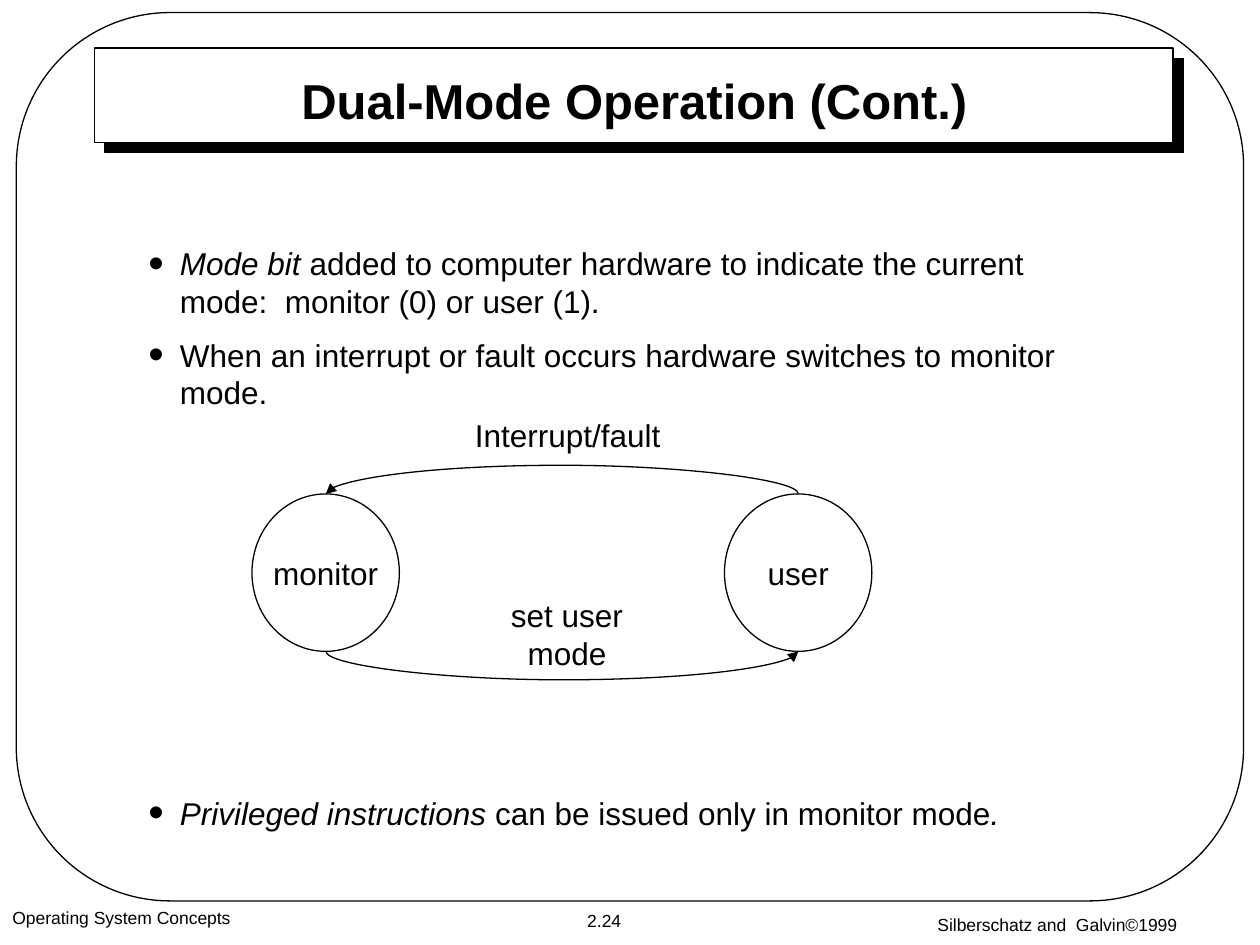
from dataclasses import dataclass
from typing import NamedTuple

from lxml.etree import SubElement
from pptx import Presentation
from pptx.dml.color import RGBColor
from pptx.enum.shapes import MSO_CONNECTOR as Connector, MSO_SHAPE as Preset
from pptx.enum.text import MSO_ANCHOR as Anchor, PP_ALIGN as Align
from pptx.oxml.ns import qn
from pptx.util import Emu, Inches, Pt


@dataclass(frozen=True)
class Theme:
    """Colours, fonts and sizes of the slide."""
    ink: RGBColor = RGBColor(0, 0, 0)
    paper: RGBColor = RGBColor(255, 255, 255)
    font: str = "Arial"
    spacer_font: str = "Times New Roman"
    title: int = 28
    body: int = 18
    spacer: int = 14
    footer: int = 10
    line: float = 0.75


class Box(NamedTuple):
    """Left, top, width and height in inches."""
    left: float
    top: float
    width: float
    height: float


class Run(NamedTuple):
    """A stretch of text with one format."""
    text: str
    italic: bool = False
    size: int | None = None
    font: str | None = None


class State(NamedTuple):
    """A named mode of the processor."""
    name: str
    left: float


class Transition(NamedTuple):
    """A curved arrow between modes, bulging up or down, with its label."""
    label: str
    label_box: Box
    upward: bool


THEME = Theme()
STATE_TOP, STATE_WIDTH, STATE_HEIGHT = 3.92, 1.17, 1.25
BULGE = 0.25
CURVE_DEPTH = Emu(1588)
STATES = (State("monitor", 2), State("user", 5.75))
TRANSITIONS = (
    Transition("Interrupt/fault", Box(3.67, 3.25, 1.67, 0.4), True),
    Transition("set user mode", Box(3.61, 4.83, 1.78, 0.4), False),
)
MODE_POINTS = (
    (Run("Mode bit", True),
     Run(" added to computer hardware to indicate the current mode:  monitor (0) or user (1).")),
    (Run("When an interrupt or fault occurs hardware switches to monitor mode."),),
)
PRIVILEGE_POINTS = (
    (Run("Privileged instructions ", True),
     Run("can be issued only in monitor mode"), Run(".", True)),
)


def inches(box: Box) -> tuple:
    """Convert a box to lengths."""
    return tuple(Inches(value) for value in box)


def add_bullet(paragraph) -> None:
    """Give a paragraph a hanging round bullet."""
    properties = paragraph._p.get_or_add_pPr()
    properties.set("marL", str(Inches(0.25)))
    properties.set("indent", str(Inches(-0.25)))
    SubElement(properties, qn("a:buSzPct")).set("val", "140000")
    SubElement(properties, qn("a:buFont")).set("typeface", THEME.font)
    SubElement(properties, qn("a:buChar")).set("char", "•")


def write(shape, paragraphs, *, size=THEME.body, bold=False, align=Align.LEFT,
          anchor=Anchor.TOP, wrap=True, bullets=False) -> None:
    """Fill a shape with paragraphs of runs."""
    frame = shape.text_frame
    frame.word_wrap = wrap
    frame.vertical_anchor = anchor
    for index, runs in enumerate(paragraphs):
        paragraph = frame.add_paragraph() if index else frame.paragraphs[0]
        paragraph.alignment = align
        if index:
            paragraph.space_before = Pt(size / 2)
        if bullets:
            add_bullet(paragraph)
        for item in runs:
            run = paragraph.add_run()
            run.text = item.text
            font = run.font
            font.name = item.font or THEME.font
            font.size = Pt(item.size or size)
            font.bold, font.italic = bold, item.italic
            font.color.rgb = THEME.ink


def add_text(slide, box: Box, paragraphs, **text_format) -> None:
    """Add a text box."""
    write(slide.shapes.add_textbox(*inches(box)), paragraphs, **text_format)


def add_outline(slide, preset, box: Box, filled: bool = True):
    """Add a thin-lined shape, white or hollow."""
    shape = slide.shapes.add_shape(preset, *inches(box))
    shape.shadow.inherit = False
    if filled:
        shape.fill.solid()
        shape.fill.fore_color.rgb = THEME.paper
    else:
        shape.fill.background()
    shape.line.color.rgb = THEME.ink
    shape.line.width = Pt(THEME.line)
    return shape


def add_hard_shadow(shape) -> None:
    """Cast an opaque shadow down and to the right."""
    effects = shape._element.spPr.find(qn("a:effectLst"))
    shadow = SubElement(effects, qn("a:outerShdw"), dist=str(Pt(8.5)),
                        dir="2700000", algn="ctr", rotWithShape="0")
    SubElement(shadow, qn("a:srgbClr")).set("val", str(THEME.ink))


def add_transition(slide, transition: Transition) -> None:
    """Draw a curved arrow between the modes and its label."""
    start, end = (state.left + STATE_WIDTH / 2 for state in STATES)
    level = STATE_TOP if transition.upward else STATE_TOP + STATE_HEIGHT
    middle, half = Inches((start + end) / 2), Inches((end - start) / 2)
    top, bottom = Inches(level) - half, Inches(level) + half
    begin_y, end_y = (bottom, top) if transition.upward else (top, bottom)
    curve = slide.shapes.add_connector(
        Connector.CURVE, middle + CURVE_DEPTH, begin_y, middle, end_y)
    curve.line.color.rgb = THEME.ink
    curve.line.width = Pt(THEME.line)
    properties = curve._element.spPr
    properties.find(qn("a:xfrm")).set("rot", str(270 * 60000))
    ratio = round(Inches(BULGE) / CURVE_DEPTH * 100000)
    adjustments = properties.find(qn("a:prstGeom")).get_or_add_avLst()
    SubElement(adjustments, qn("a:gd"), name="adj1",
               fmla=f"val {-ratio if transition.upward else ratio}")
    SubElement(curve.line._get_or_add_ln(), qn("a:tailEnd"), type="triangle")
    SubElement(properties, qn("a:effectLst"))
    add_text(slide, transition.label_box, [[Run(transition.label)]],
             align=Align.CENTER, anchor=Anchor.MIDDLE, wrap=False)


def add_frame(slide) -> None:
    """Draw the title panel, the rounded border and the footers."""
    add_hard_shadow(add_outline(slide, Preset.RECTANGLE, Box(0.75, 0.38, 8.56, 0.75)))
    border = add_outline(slide, Preset.ROUNDED_RECTANGLE, Box(0.13, 0.1, 9.74, 7.05), False)
    border.adjustments[0] = 0.173
    add_text(slide, Box(6.83, 7.15, 3.17, 0.35),
             [[Run("Silberschatz and  Galvin©1999"),
               Run(" ", size=THEME.spacer, font=THEME.spacer_font)]],
             size=THEME.footer, align=Align.CENTER)
    add_text(slide, Box(4.55, 7.17, 0.49, 0.27), [[Run("2.24")]], size=THEME.footer,
             align=Align.CENTER, anchor=Anchor.MIDDLE, wrap=False)
    add_text(slide, Box(0, 7.15, 3.17, 0.35), [[Run("Operating System Concepts")]],
             size=THEME.footer)


def main() -> None:
    """Build and save the slide."""
    presentation = Presentation()
    presentation.slide_width, presentation.slide_height = Inches(10), Inches(7.5)
    slide = presentation.slides.add_slide(presentation.slide_layouts[6])
    add_frame(slide)
    add_text(slide, Box(1.27, 0.54, 7.53, 0.5), [[Run("Dual-Mode Operation (Cont.)")]],
             size=THEME.title, bold=True, align=Align.CENTER, anchor=Anchor.MIDDLE)
    add_text(slide, Box(1.08, 1.89, 7.69, 1.53), MODE_POINTS, bullets=True)
    add_text(slide, Box(1.08, 6.25, 7.69, 0.58), PRIVILEGE_POINTS, bullets=True)
    for state in STATES:
        circle = add_outline(slide, Preset.OVAL,
                             Box(state.left, STATE_TOP, STATE_WIDTH, STATE_HEIGHT))
        write(circle, [[Run(state.name)]], align=Align.CENTER,
              anchor=Anchor.MIDDLE, wrap=False)
    for transition in TRANSITIONS:
        add_transition(slide, transition)
    presentation.save("out.pptx")


if __name__ == "__main__":
    main()
